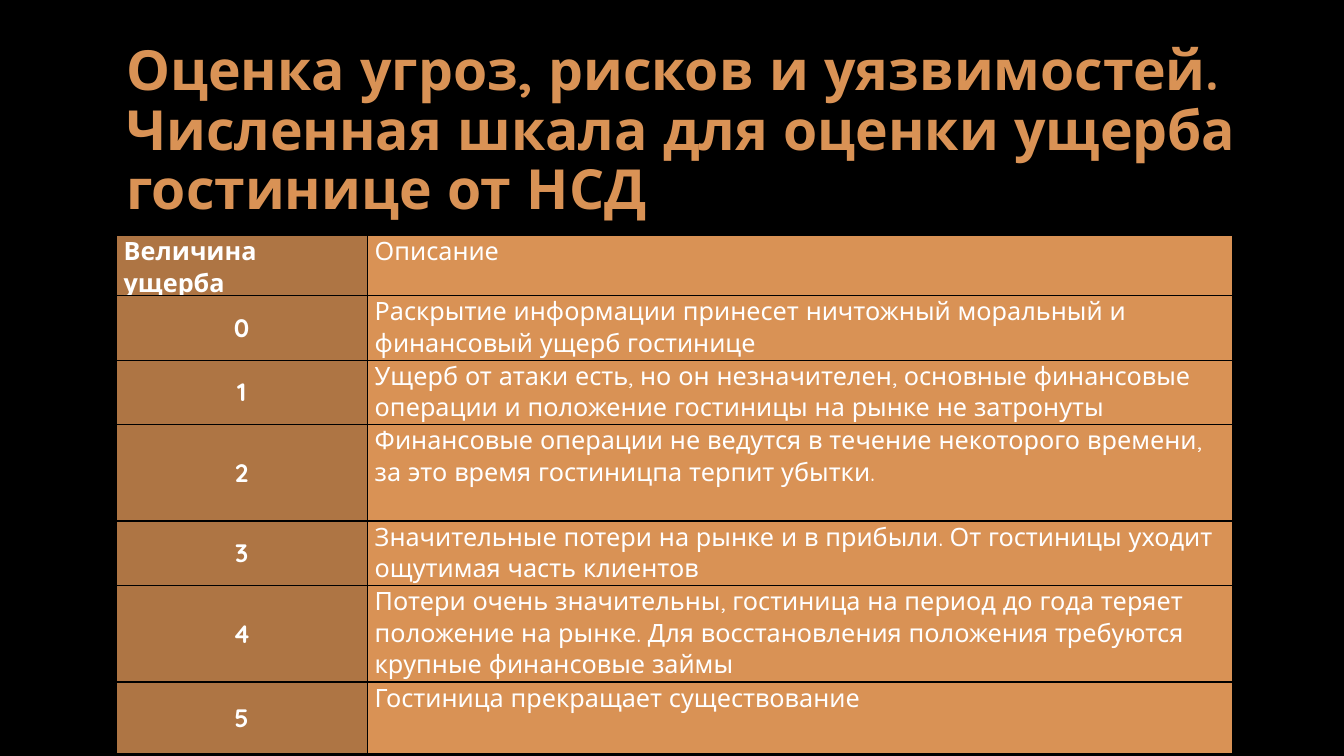
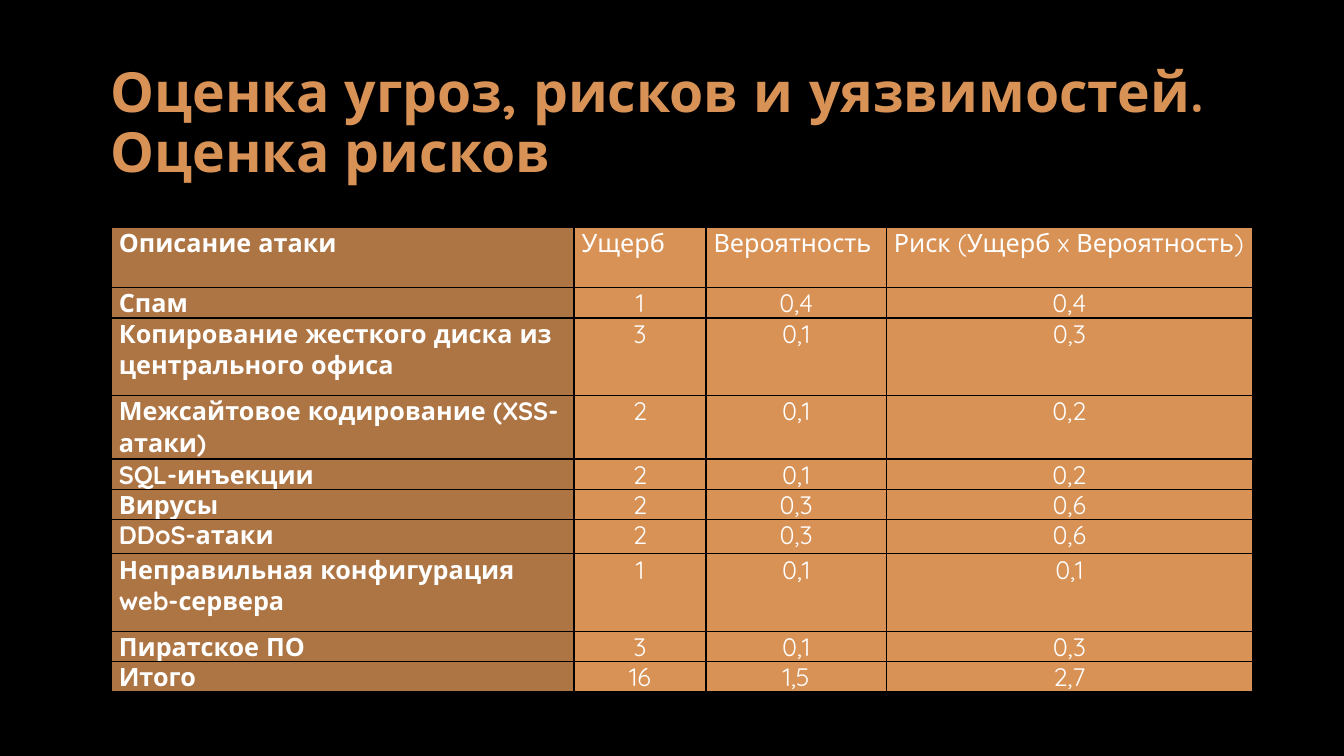
"""Build two slides on threat and risk assessment."""
from lxml.etree import SubElement as Sub
from pptx import Presentation
from pptx.dml.color import RGBColor
from pptx.enum.text import MSO_ANCHOR as Anchor, PP_ALIGN as Align
from pptx.oxml.ns import qn
from pptx.util import Pt

BLACK = RGBColor(0x00, 0x00, 0x00)
WHITE = RGBColor(0xFF, 0xFF, 0xFF)
AMBER = RGBColor(0xD9, 0x92, 0x55)
BROWN = RGBColor(0xAE, 0x75, 0x44)
FONT = "Quicksand"

HARM = [
    ["Величина ущерба", "Описание"],
    ["0", "Раскрытие информации принесет ничтожный моральный и "
          "финансовый ущерб гостинице"],
    ["1", "Ущерб от атаки есть, но он незначителен, основные финансовые "
          "операции и положение гостиницы на рынке не затронуты"],
    ["2", "Финансовые операции не ведутся в течение некоторого времени, "
          "за это время гостиницпа терпит убытки."],
    ["3", "Значительные потери на рынке и в прибыли. От гостиницы уходит "
          "ощутимая часть клиентов"],
    ["4", "Потери очень значительны, гостиница на период до года теряет "
          "положение на рынке. Для восстановления положения требуются "
          "крупные финансовые займы"],
    ["5", "Гостиница прекращает существование"],
]

RISKS = [
    ["Описание атаки", "Ущерб", "Вероятность", "Риск (Ущерб x Вероятность)"],
    ["Спам", "1", "0,4", "0,4"],
    ["Копирование жесткого диска из центрального офиса", "3", "0,1", "0,3"],
    ["Межсайтовое кодирование (XSS-атаки)", "2", "0,1", "0,2"],
    ["SQL-инъекции", "2", "0,1", "0,2"],
    ["Вирусы", "2", "0,3", "0,6"],
    ["DDoS-атаки", "2", "0,3", "0,6"],
    ["Неправильная конфигурация web-сервера", "1", "0,1", "0,1"],
    ["Пиратское ПО", "3", "0,1", "0,3"],
    ["Итого", "16", "1,5", "2,7"],
]


def write(frame, text, size=18, color=WHITE, bold=False, align=Align.LEFT,
          space=1.0):
    """Put formatted text into a frame."""
    frame.word_wrap = True
    para = frame.paragraphs[0]
    para.alignment = align
    para.line_spacing = space
    run = para.add_run()
    run.text = text
    font = run.font
    font.name, font.size, font.bold = FONT, Pt(size), bold
    font.color.rgb = color


def add_page(deck, title, left, top):
    """Add a black slide with its title."""
    page = deck.slides.add_slide(deck.slide_layouts[6])
    fill = page.background.fill
    fill.solid()
    fill.fore_color.rgb = BLACK
    box = page.shapes.add_textbox(Pt(left), Pt(top), Pt(828), Pt(126))
    box.text_frame.vertical_anchor = Anchor.MIDDLE
    write(box.text_frame, title, size=39.5, color=AMBER, bold=True, space=0.9)
    return page


def edge(cell):
    """Draw thin black borders round a cell."""
    props = cell._tc.get_or_add_tcPr()
    for side in ("a:lnL", "a:lnR", "a:lnT", "a:lnB"):
        line = Sub(props, qn(side), w=str(Pt(1)))
        paint = Sub(line, qn("a:solidFill"))
        Sub(paint, qn("a:srgbClr"), val=str(BLACK))


def style(cell, color, anchor):
    """Set the borders, fill, margins and anchor of a cell."""
    edge(cell)
    cell.fill.solid()
    cell.fill.fore_color.rgb = color
    cell.margin_left = cell.margin_right = Pt(5.4)
    cell.margin_top = cell.margin_bottom = Pt(0)
    cell.vertical_anchor = anchor


def add_grid(page, data, left, top, widths, heights, aligns, anchor=Anchor.TOP):
    """Add a table with a header row and a dark, bold first column."""
    grid = page.shapes.add_table(
        len(data), len(widths), Pt(left), Pt(top),
        Pt(sum(widths)), Pt(sum(heights))).table
    grid.first_row = grid.horz_banding = False
    for col, width in zip(grid.columns, widths):
        col.width = Pt(width)
    for row, height in zip(grid.rows, heights):
        row.height = Pt(height)
    for r, line in enumerate(data):
        for c, text in enumerate(line):
            cell = grid.cell(r, c)
            key = c == 0
            style(cell, BROWN if key else AMBER,
                  anchor if key and r else Anchor.TOP)
            write(cell.text_frame, text, bold=key,
                  align=aligns[c] if r else Align.JUSTIFY)


def main():
    """Build and save the deck."""
    deck = Presentation()
    deck.slide_width, deck.slide_height = Pt(960), Pt(540)

    page = add_page(deck, "Оценка угроз, рисков и уязвимостей. Численная шкала "
                    "для оценки ущерба гостинице от НСД", 83, 31.5)
    add_grid(page, HARM, 83, 168, [179.3, 618.5],
             [24, 46, 46, 69, 46, 69, 51],
             [Align.CENTER, Align.LEFT], Anchor.MIDDLE)

    page = add_page(deck, "Оценка угроз, рисков и уязвимостей. Оценка рисков",
                    72, 26)
    add_grid(page, RISKS, 79.5, 162.5, [330.5, 94.3, 128.9, 261.4],
             [43, 21.6, 55.4, 45.4, 21.6, 21.6, 24.5, 55.4, 21.6, 21.6],
             [Align.LEFT] + [Align.CENTER] * 3)

    deck.save("out.pptx")


if __name__ == "__main__":
    main()
